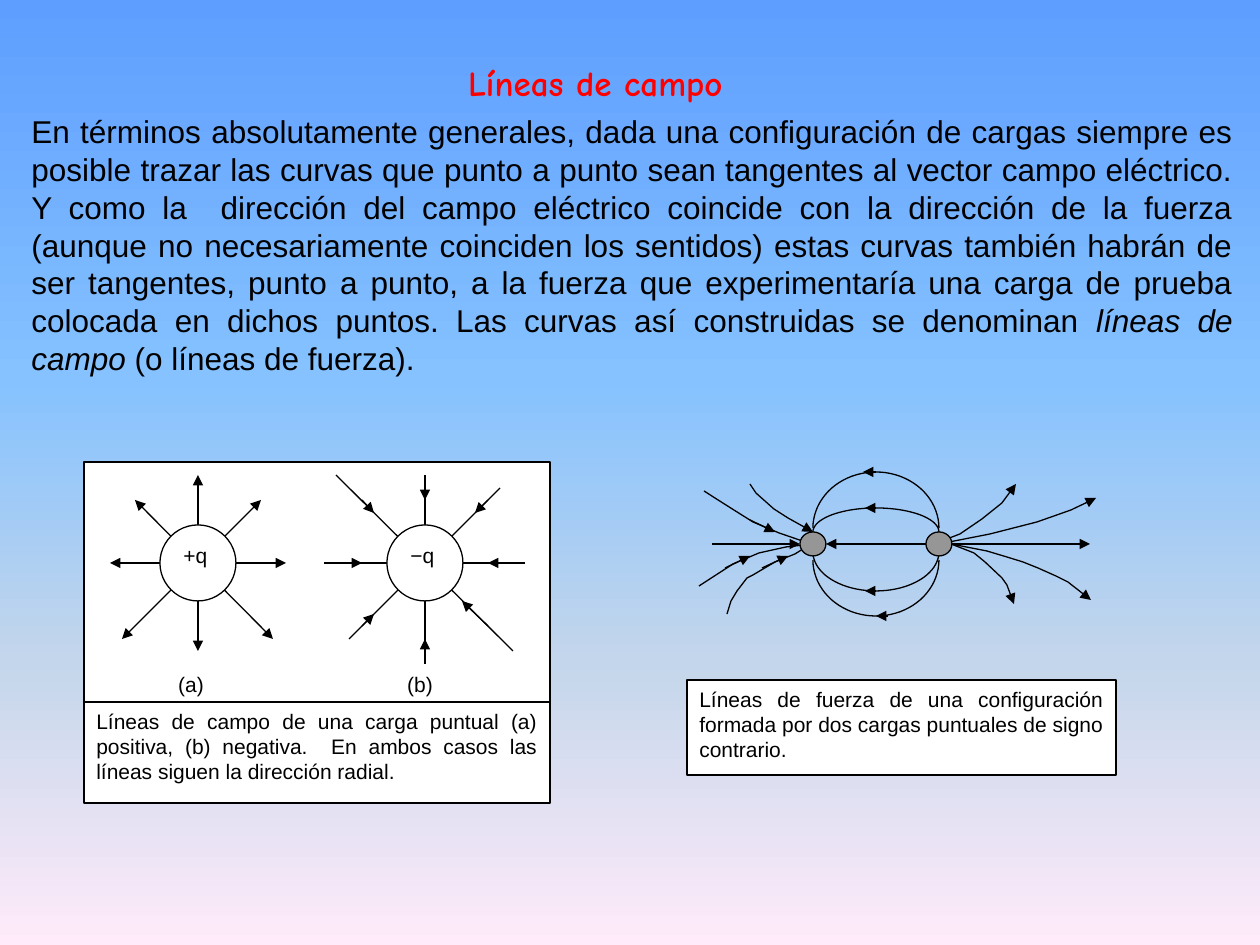
import math

from pptx import Presentation
from pptx.dml.color import RGBColor
from pptx.enum import shapes, text
from pptx.oxml.ns import qn
from pptx.util import Emu, Pt
from lxml import etree

PX = 914400 / 126
BLACK = RGBColor(0, 0, 0)
WHITE = RGBColor(255, 255, 255)
RED = RGBColor(255, 0, 0)
GREY = RGBColor(0x96, 0x96, 0x96)
SKY = [(0, "5E9EFF"), (40, "85C2FF"), (70, "C4D6EB"), (100, "FFEBFA")]

TITLE = "Líneas de campo"
BODY = [
    ("En términos absolutamente generales, dada una configuración de cargas siempre es "
     "posible trazar las curvas que punto a punto sean tangentes al vector campo eléctrico. "
     "Y como la  dirección del campo eléctrico coincide con la dirección de la fuerza "
     "(aunque no necesariamente coinciden los sentidos) estas curvas también habrán de ser "
     "tangentes, punto a punto, a la fuerza que experimentaría una carga de prueba colocada "
     "en dichos puntos. Las curvas así construidas se denominan ", False),
    ("líneas de campo", True),
    (" (o líneas de fuerza).", False),
]
POINT_CAPTION = ("Líneas de campo de una carga puntual (a) positiva, (b) negativa.  En ambos "
                 "casos las líneas siguen la dirección radial.")
DIPOLE_CAPTION = ("Líneas de fuerza de una configuración formada por dos cargas puntuales "
                  "de signo contrario.")

# Straight lines: x1, y1, x2, y2
POSITIVE_RAYS = [(122, 639, 261, 500), (135, 500, 273, 639),
                 (198, 475, 198, 651), (110, 563, 286, 563)]
NEGATIVE_RAYS = [(336, 475, 513, 651), (500, 488, 349, 639),
                 (324, 563, 525, 563), (425, 475, 425, 664)]
NEGATIVE_ARROWS = [(362, 500, 374, 513), (488, 626, 462, 601), (362, 626, 374, 614),
                   (425, 651, 425, 639), (425, 488, 425, 500), (488, 500, 475, 513),
                   (336, 563, 362, 563), (513, 563, 488, 563)]
DIPOLE_ARROWS = [(926, 544, 826, 544), (712, 544, 800, 544), (951, 544, 1090, 544),
                 (762, 568, 788, 556), (750, 520, 775, 532), (725, 568, 750, 556),
                 (876, 508, 865, 508), (876, 472, 863, 472),
                 (876, 591, 865, 591), (888, 616, 876, 616)]
# Curved lines: points, arrow at the end
DIPOLE_CURVES = [
    ([(939, 542), (960, 534), (982, 519), (1002, 503), (1016, 484)], True),
    ([(939, 544), (990, 534), (1037, 522), (1071, 510), (1096, 498)], True),
    ([(951, 544), (987, 551), (1007, 557), (1023, 562), (1038, 568), (1056, 576),
      (1068, 582), (1091, 600)], True),
    ([(951, 544), (974, 553), (985, 562), (1002, 578), (1007, 585), (1014, 604)], True),
    ([(750, 484), (756, 493), (774, 509), (788, 518), (813, 532)], True),
    ([(704, 491), (718, 500), (737, 512), (753, 522), (779, 533), (811, 544), (795, 554),
      (775, 562), (753, 575), (747, 578), (737, 591), (731, 601), (727, 614)], False),
    ([(813, 544), (786, 547), (759, 553), (733, 564), (699, 586)], False),
]
# Half ellipses between the charges: end height, height at the middle
DIPOLE_ARCS = [(532, 508), (528, 472), (552, 591), (560, 616)]
CHARGE_X = (813, 939)


def px(*values):
    return [Emu(round(value * PX)) for value in values]


def write(shape, spans, size, align=text.PP_ALIGN.LEFT, font="Arial", color=BLACK):
    frame = shape.text_frame
    frame.word_wrap = True
    frame.vertical_anchor = text.MSO_ANCHOR.TOP
    para = frame.paragraphs[0]
    para.alignment = align
    for words, italic in spans:
        span = para.add_run()
        span.text = words
        span.font.name, span.font.size = font, Pt(size)
        span.font.italic = italic
        span.font.color.rgb = color


def outline(shape, head=False, tail=False):
    """Thin black line with optional arrowheads at its start and end."""
    shape.line.color.rgb = BLACK
    shape.line.width = Pt(0.75)
    line = shape._element.spPr.find(qn("a:ln"))
    for wanted, tag in ((head, "a:headEnd"), (tail, "a:tailEnd")):
        if wanted:
            etree.SubElement(line, qn(tag), type="triangle")


def add_line(group, ends, head=False, tail=False):
    line = group.shapes.add_connector(shapes.MSO_CONNECTOR.STRAIGHT, *px(*ends))
    outline(line, head, tail)
    etree.SubElement(line._element.spPr, qn("a:effectLst"))


def add_curve(group, points, tail=False):
    start, *rest = [px(*point) for point in points]
    builder = group.shapes.build_freeform(*start)
    builder.add_line_segments(rest, close=False)
    curve = builder.convert_to_shape()
    curve.shadow.inherit = False
    curve.fill.background()
    outline(curve, tail=tail)


def add_solid(group, kind, place, fill=WHITE):
    solid = group.shapes.add_shape(kind, *px(*place))
    solid.shadow.inherit = False
    solid.fill.solid()
    solid.fill.fore_color.rgb = fill
    outline(solid)
    return solid


def add_caption(group, place, words):
    box = add_solid(group, shapes.MSO_SHAPE.RECTANGLE, place)
    write(box, [(words, False)], 12, text.PP_ALIGN.JUSTIFY)


def add_charge(group, left, sign):
    circle = add_solid(group, shapes.MSO_SHAPE.OVAL, (left, 525, 76, 76))
    write(circle, [(sign, False)], 12)


def add_point_charges(page):
    group = page.shapes.add_group_shape()
    add_solid(group, shapes.MSO_SHAPE.RECTANGLE, (84, 462, 466, 240))
    for ends in POSITIVE_RAYS:
        add_line(group, ends, head=True, tail=True)
    add_charge(group, 160, "+q")
    for ends in NEGATIVE_RAYS:
        add_line(group, ends)
    for ends in NEGATIVE_ARROWS:
        add_line(group, ends, tail=True)
    add_charge(group, 387, "−q")
    for center, label in ((191, "(a)"), (420, "(b)")):
        box = group.shapes.add_textbox(*px(center - 40, 665, 80, 36))
        write(box, [(label, False)], 12, text.PP_ALIGN.CENTER)
    add_caption(group, (84, 702, 466, 101), POINT_CAPTION)


def add_dipole(page):
    group = page.shapes.add_group_shape()
    middle, radius = sum(CHARGE_X) / 2, (CHARGE_X[1] - CHARGE_X[0]) / 2
    for base, peak in DIPOLE_ARCS:
        angles = [math.pi * step / 40 for step in range(41)]
        add_curve(group, [(middle - radius * math.cos(angle),
                           base + (peak - base) * math.sin(angle)) for angle in angles])
    for points, tail in DIPOLE_CURVES:
        add_curve(group, points, tail)
    for ends in DIPOLE_ARROWS:
        add_line(group, ends, tail=True)
    for center in CHARGE_X:
        add_solid(group, shapes.MSO_SHAPE.OVAL, (center - 13, 532, 26, 24), GREY)
    add_caption(group, (687, 680, 429, 95), DIPOLE_CAPTION)


def paint_background(page):
    fill = page.background.fill
    fill.gradient()
    fill.gradient_angle = 270
    stops = page._element.find(".//" + qn("a:gsLst"))
    for stop in list(stops):
        stops.remove(stop)
    for percent, color in SKY:
        stop = etree.SubElement(stops, qn("a:gs"), pos=str(percent * 1000))
        etree.SubElement(stop, qn("a:srgbClr"), val=color)


def main():
    deck = Presentation()
    deck.slide_width, deck.slide_height = px(1260, 945)
    page = deck.slides.add_slide(deck.slide_layouts[5])
    paint_background(page)
    title = page.shapes.title
    title.left, title.top, title.width, title.height = px(159, 55, 873, 54)
    write(title, [(TITLE, False)], 20, text.PP_ALIGN.CENTER, "Comic Neue", RED)
    title.text_frame.paragraphs[0].runs[0].font.bold = True
    body = page.shapes.add_textbox(*px(19, 106, 1226, 277))
    write(body, BODY, 18, text.PP_ALIGN.JUSTIFY)
    add_point_charges(page)
    add_dipole(page)
    deck.save("out.pptx")


if __name__ == "__main__":
    main()
